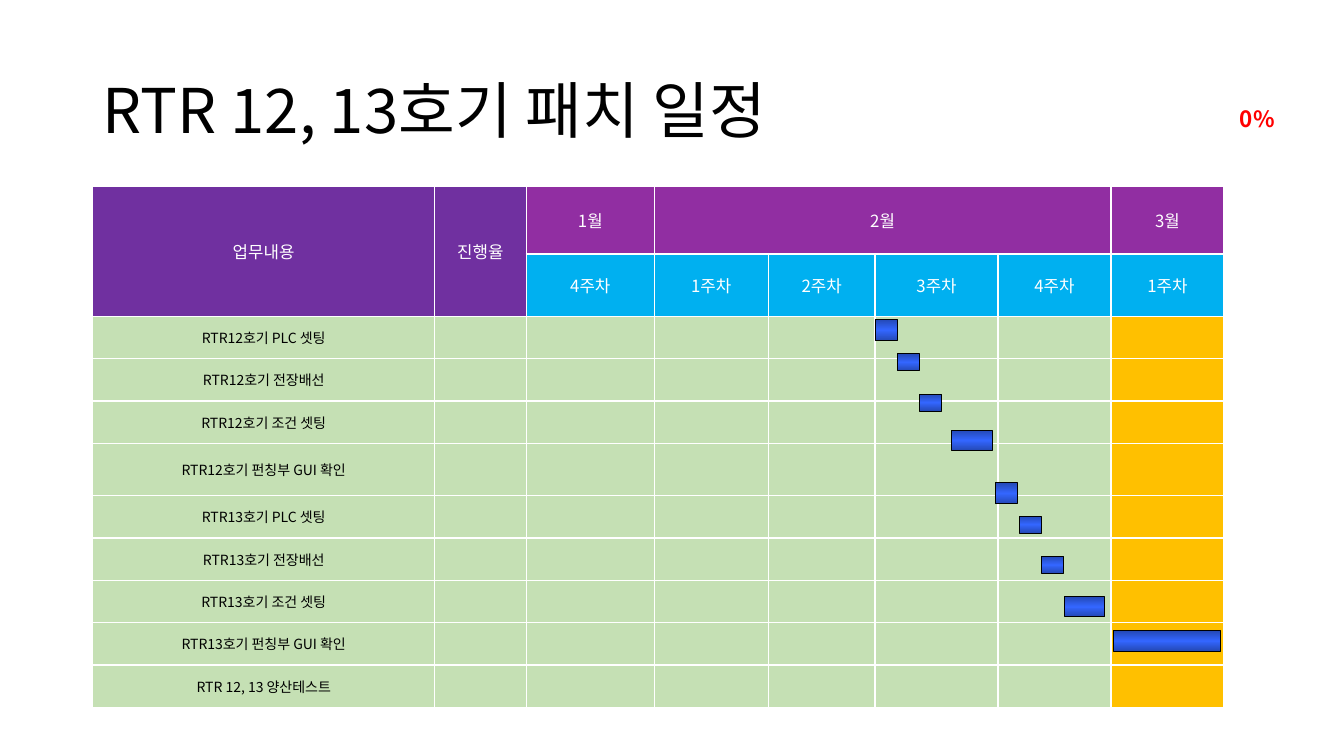
from copy import deepcopy

from pptx import Presentation
from pptx.dml.color import RGBColor
from pptx.enum.shapes import MSO_SHAPE
from pptx.enum.text import MSO_ANCHOR as ANCHOR, PP_ALIGN as ALIGN
from pptx.oxml.ns import qn
from pptx.util import Inches, Pt

FONT = "Noto Sans CJK KR"
COLORS = {
    "black": "000000",
    "white": "FFFFFF",
    "red": "FF0000",
    "heading": "7030A0",
    "month": "912EA2",
    "week": "00B0F0",
    "february": "C5E0B4",
    "march": "FFC000",
    "bar_edge": "2449B6",
    "bar_center": "3366FF",
}


def color(name):
    return RGBColor.from_string(COLORS[name])


def write(frame, text, size=12, fill="black", bold=False, align=ALIGN.LEFT, spacing=None):
    paragraph = frame.paragraphs[0]
    paragraph.alignment = align
    paragraph.line_spacing = spacing
    run = paragraph.add_run()
    run.text = text
    run.font.size = Pt(size)
    run.font.bold = bold
    run.font.color.rgb = color(fill)
    run.font.name = FONT
    east_asian = run.font._element.makeelement(qn("a:ea"), {"typeface": FONT})
    run.font._element.find(qn("a:latin")).addnext(east_asian)


presentation = Presentation()
presentation.slide_width = Inches(13.33)
presentation.slide_height = Inches(7.5)
slide = presentation.slides.add_slide(presentation.slide_layouts[6])

title = slide.shapes.add_textbox(Inches(0.92), Inches(0.4), Inches(11.5), Inches(1.45))
title.text_frame.word_wrap = True
title.text_frame.vertical_anchor = ANCHOR.MIDDLE
write(title.text_frame, "RTR 12, 13호기 패치 일정", size=44, spacing=0.9)

column_widths = [3.39, 0.91, 1.27, 1.13, 1.06, 1.22, 1.12, 1.12]
row_heights = [0.67, 0.62] + [0.42] * 3 + [0.52] + [0.42] * 5
weeks = ["4주차", "1주차", "2주차", "3주차", "4주차", "1주차"]
tasks = [
    "RTR12호기 PLC 셋팅",
    "RTR12호기 전장배선",
    "RTR12호기 조건 셋팅",
    "RTR12호기 펀칭부 GUI 확인",
    "RTR13호기 PLC 셋팅",
    "RTR13호기 전장배선",
    "RTR13호기 조건 셋팅",
    "RTR13호기 펀칭부 GUI 확인",
    "RTR 12, 13 양산테스트",
]

table = slide.shapes.add_table(
    len(row_heights), len(column_widths), Inches(0.92), Inches(1.85),
    Inches(sum(column_widths)), Inches(sum(row_heights)),
).table
table.horz_banding = False
for column, width in zip(table.columns, column_widths):
    column.width = Inches(width)
for row, height in zip(table.rows, row_heights):
    row.height = Inches(height)

table.cell(0, 0).merge(table.cell(1, 0))
table.cell(0, 1).merge(table.cell(1, 1))
table.cell(0, 3).merge(table.cell(0, 6))

labels = {(0, 0): "업무내용", (0, 1): "진행율", (0, 2): "1월", (0, 3): "2월", (0, 7): "3월"}
labels.update({(1, number): week for number, week in enumerate(weeks, 2)})
labels.update({(number, 0): task for number, task in enumerate(tasks, 2)})

last_column = len(column_widths) - 1
for row_number in range(len(row_heights)):
    for column_number in range(len(column_widths)):
        if row_number > 1:
            background = "march" if column_number == last_column else "february"
        elif column_number < 2:
            background = "heading"
        else:
            background = ("month", "week")[row_number]
        cell = table.cell(row_number, column_number)
        cell.fill.solid()
        cell.fill.fore_color.rgb = color(background)
        cell.vertical_anchor = ANCHOR.MIDDLE
        if (row_number, column_number) in labels:
            is_header = row_number < 2
            write(
                cell.text_frame, labels[row_number, column_number],
                size=12 if is_header else 10,
                fill="white" if is_header else "black", align=ALIGN.CENTER,
            )

progress = slide.shapes.add_textbox(Inches(12.2), Inches(0.99), Inches(0.68), Inches(0.37))
progress.text_frame.word_wrap = True
write(progress.text_frame, "0%", size=16, fill="red", bold=True)

schedule_bars = [
    (8.68, 3.17, 0.22, 0.21),
    (8.9, 3.51, 0.22, 0.17),
    (9.12, 3.91, 0.22, 0.17),
    (9.44, 4.27, 0.4, 0.2),
    (9.87, 4.79, 0.22, 0.21),
    (10.11, 5.12, 0.22, 0.17),
    (10.33, 5.52, 0.22, 0.17),
    (10.56, 5.92, 0.4, 0.2),
    (11.04, 6.26, 1.07, 0.2),
]
bar_stops = [(0, "bar_edge"), (0.5, "bar_center"), (1, "bar_edge")]
for bounds in schedule_bars:
    bar = slide.shapes.add_shape(MSO_SHAPE.RECTANGLE, *map(Inches, bounds))
    bar.shadow.inherit = False
    bar.line.color.rgb = color("black")
    bar.line.width = Pt(0.75)
    bar.fill.gradient()
    bar.fill.gradient_angle = 90
    stop_list = bar._element.spPr.find(".//" + qn("a:gsLst"))
    stop_list.insert(1, deepcopy(stop_list[0]))
    for stop, (position, name) in zip(bar.fill.gradient_stops, bar_stops):
        stop.position = position
        stop.color.rgb = color(name)

presentation.save("out.pptx")
